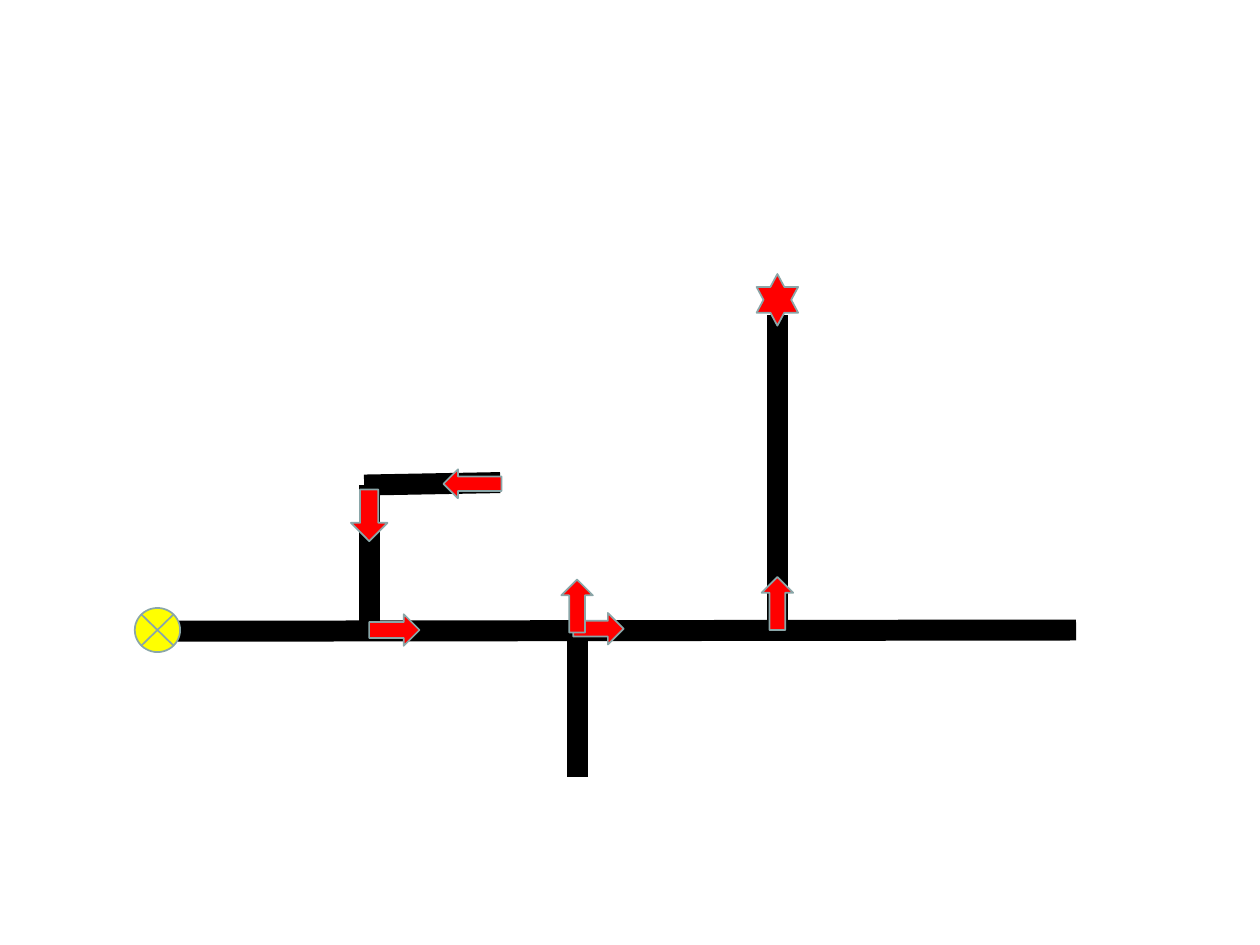
from pptx import Presentation
from pptx.dml.color import RGBColor
from pptx.enum.shapes import MSO_CONNECTOR, MSO_SHAPE
from pptx.oxml.ns import qn
from pptx.util import Inches, Pt
from lxml import etree

# Grid of the route map, in inches
MAIN_Y, UPPER_Y = 5, 3.84
LEFT_X, MIDDLE_X, RIGHT_X = 2.93, 4.58, 6.17
START_X, END_X = 1.25, 8.54
TARGET_Y = 2.38

BLACK, RED, YELLOW, OUTLINE = "000000", "FF0000", "FFFF00", "8AA6A8"


def color(value):
    return RGBColor.from_string(value)


def add_road(slide, start, end):
    points = [Inches(v) for v in (*start, *end)]
    line = slide.shapes.add_connector(MSO_CONNECTOR.STRAIGHT, *points)
    line.line.color.rgb = color(BLACK)
    line.line.width = Pt(12)
    etree.SubElement(line._element.spPr, qn("a:effectLst"))


def add_marker(slide, kind, center, size, fill=RED):
    """Place a preset shape around its centre."""
    (x, y), (w, h) = center, size
    s = slide.shapes.add_shape(kind, Inches(x - w / 2), Inches(y - h / 2),
                               Inches(w), Inches(h))
    s.shadow.inherit = False
    s.fill.solid()
    s.fill.fore_color.rgb = color(fill)
    s.line.color.rgb = color(OUTLINE)
    s.line.width = Pt(1)


def main():
    prs = Presentation()
    prs.slide_width, prs.slide_height = Inches(10), Inches(7.5)
    slide = prs.slides.add_slide(prs.slide_layouts[6])

    # Roads: main road, then its branches
    roads = [
        ((END_X, MAIN_Y), (1.29, MAIN_Y + 0.01)),
        ((LEFT_X, UPPER_Y + 0.01), (LEFT_X, MAIN_Y + 0.01)),
        ((MIDDLE_X, MAIN_Y), (MIDDLE_X, 6.17)),
        ((RIGHT_X, 2.5), (RIGHT_X, MAIN_Y)),
        ((3.97, UPPER_Y - 0.01), (2.89, UPPER_Y + 0.01)),
    ]
    for start, end in roads:
        add_road(slide, start, end)

    # Start and target
    add_marker(slide, MSO_SHAPE.FLOWCHART_SUMMING_JUNCTION,
               (START_X, MAIN_Y), (0.36, 0.35), YELLOW)
    add_marker(slide, MSO_SHAPE.STAR_6_POINT, (RIGHT_X, TARGET_Y), (0.33, 0.41))

    # Direction arrows
    across, upward = (0.4, 0.25), (0.25, 0.42)
    arrows = [
        (MSO_SHAPE.RIGHT_ARROW, (MIDDLE_X + 0.17, MAIN_Y - 0.01), across),
        (MSO_SHAPE.UP_ARROW, (MIDDLE_X, MAIN_Y - 0.19), upward),
        (MSO_SHAPE.UP_ARROW, (RIGHT_X, MAIN_Y - 0.21), upward),
        (MSO_SHAPE.LEFT_ARROW, (3.75, UPPER_Y), (0.46, 0.23)),
        (MSO_SHAPE.RIGHT_ARROW, (LEFT_X + 0.2, MAIN_Y), across),
        (MSO_SHAPE.DOWN_ARROW, (LEFT_X, UPPER_Y + 0.25), (0.29, 0.41)),
    ]
    for kind, center, size in arrows:
        add_marker(slide, kind, center, size)

    prs.save("out.pptx")


if __name__ == "__main__":
    main()
